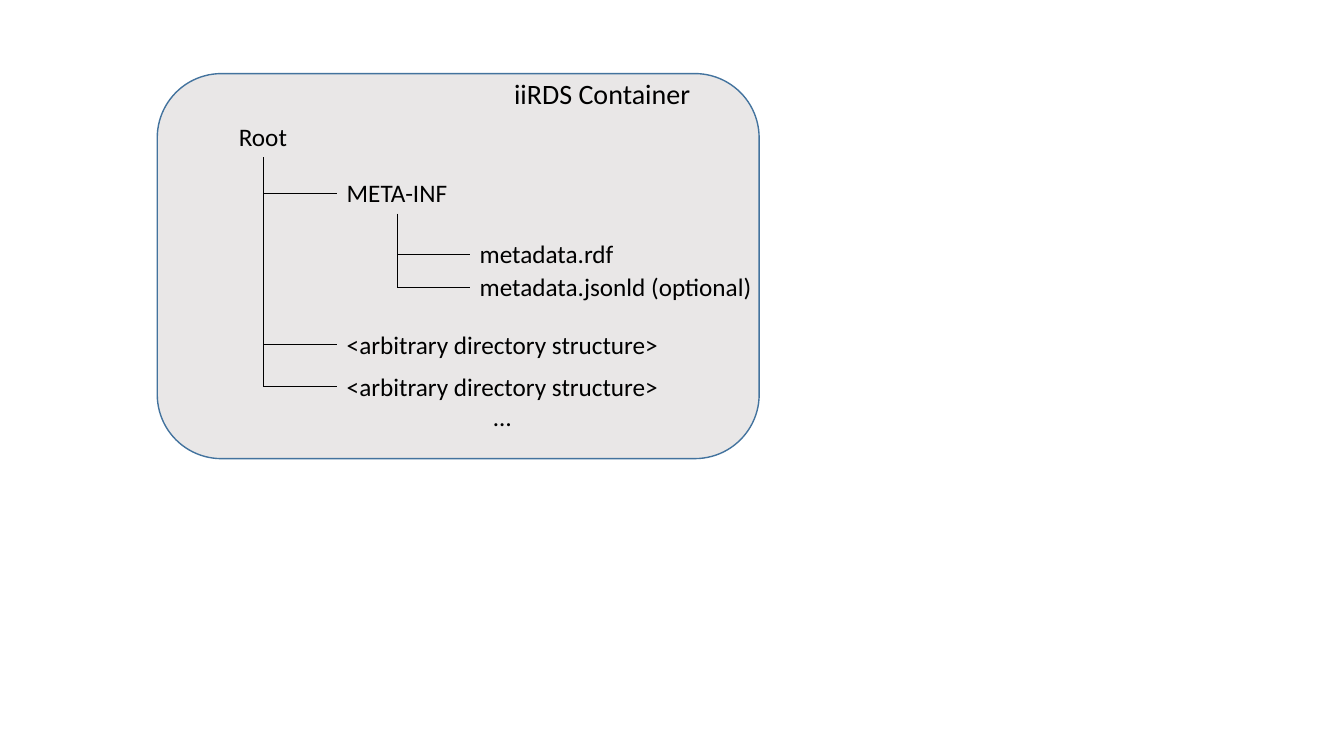
from pptx import Presentation
from pptx.dml.color import RGBColor
from pptx.enum.shapes import MSO_CONNECTOR, MSO_SHAPE
from pptx.enum.text import MSO_AUTO_SIZE, PP_ALIGN
from pptx.oxml.ns import qn
from pptx.util import Inches, Pt
from lxml.etree import SubElement

COLORS = {"panel": "E9E7E7", "border": "43739E", "ink": "000000"}


class Diagram:
    """Draws the directory tree elements in one style on the current slide."""

    font = "Calibri"

    def __init__(self, slide):
        self.s = slide

    def color(self, name):
        return RGBColor.from_string(COLORS[name])

    def panel(self, x, y, w, h):
        sp = self.s.shapes.add_shape(
            MSO_SHAPE.ROUNDED_RECTANGLE, Inches(x), Inches(y), Inches(w), Inches(h))
        sp.shadow.inherit = False
        sp.fill.solid()
        sp.fill.fore_color.rgb = self.color("panel")
        sp.line.color.rgb = self.color("border")
        sp.line.width = Pt(1)

    def label(self, text, x, y, w, h=0.4, size=18):
        sp = self.s.shapes.add_textbox(Inches(x), Inches(y), Inches(w), Inches(h))
        tf = sp.text_frame
        tf.word_wrap = False
        tf.auto_size = MSO_AUTO_SIZE.SHAPE_TO_FIT_TEXT
        tf.text = text
        for p in tf.paragraphs:
            for r in p.runs:
                r.font.name = self.font
                r.font.size = Pt(size)
                r.font.color.rgb = self.color("ink")
        return tf

    def line(self, x1, y1, x2, y2):
        c = self.s.shapes.add_connector(
            MSO_CONNECTOR.STRAIGHT, Inches(x1), Inches(y1), Inches(x2), Inches(y2))
        c.line.color.rgb = self.color("ink")
        c.line.width = Pt(0.5)
        SubElement(c._element.spPr, qn("a:effectLst"))

    def branch(self, trunk_x, top, child_x, ys):
        self.line(trunk_x, top, trunk_x, ys[-1])
        for y in ys:
            self.line(child_x, y, trunk_x, y)


def main():
    prs = Presentation()
    prs.slide_width, prs.slide_height = Inches(13.33), Inches(7.5)
    d = Diagram(prs.slides.add_slide(prs.slide_layouts[6]))

    d.panel(1.56, 0.73, 5.97, 3.82)
    d.label("iiRDS Container", 5, 0.71, 1.97, 0.44, size=20)

    folder_x, file_x = 3.34, 4.66
    d.branch(2.61, 1.56, folder_x, [1.92, 3.42, 3.83])
    d.branch(3.94, 2.12, file_x, [2.52, 2.85])

    d.label("Root", 2.27, 1.15, 0.68)
    d.label("META-INF", folder_x, 1.71, 1.21)
    d.label("metadata.rdf", file_x, 2.32, 1.54)
    d.label("metadata.jsonld (optional)", file_x, 2.64, 2.93)

    folder = "<arbitrary directory structure>"
    d.label(folder, folder_x, 3.22, 3.32)
    tf = d.label(f"{folder}\n…", folder_x, 3.63, 3.32, 0.71)
    tf.paragraphs[1].alignment = PP_ALIGN.CENTER

    prs.save("out.pptx")


if __name__ == "__main__":
    main()
